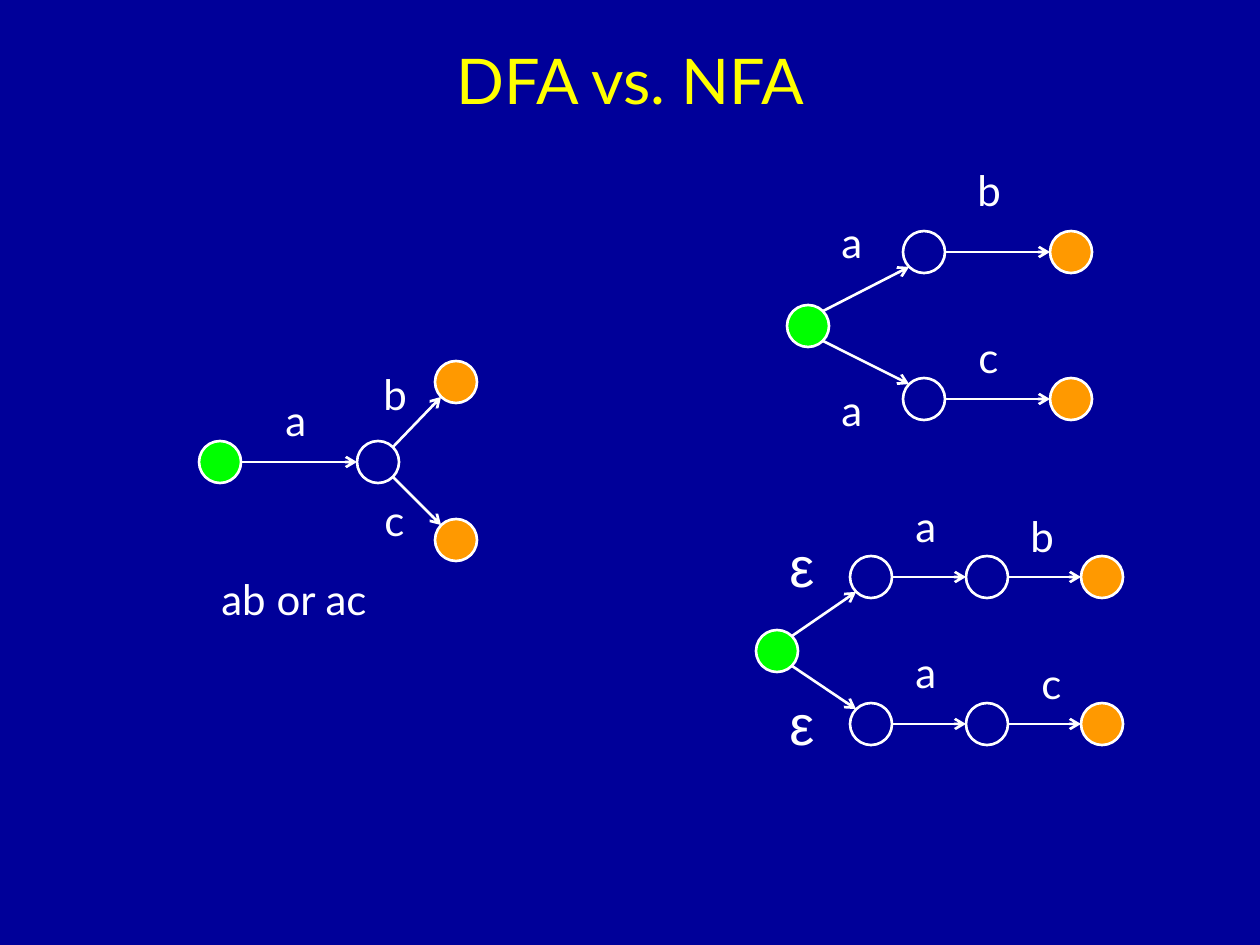
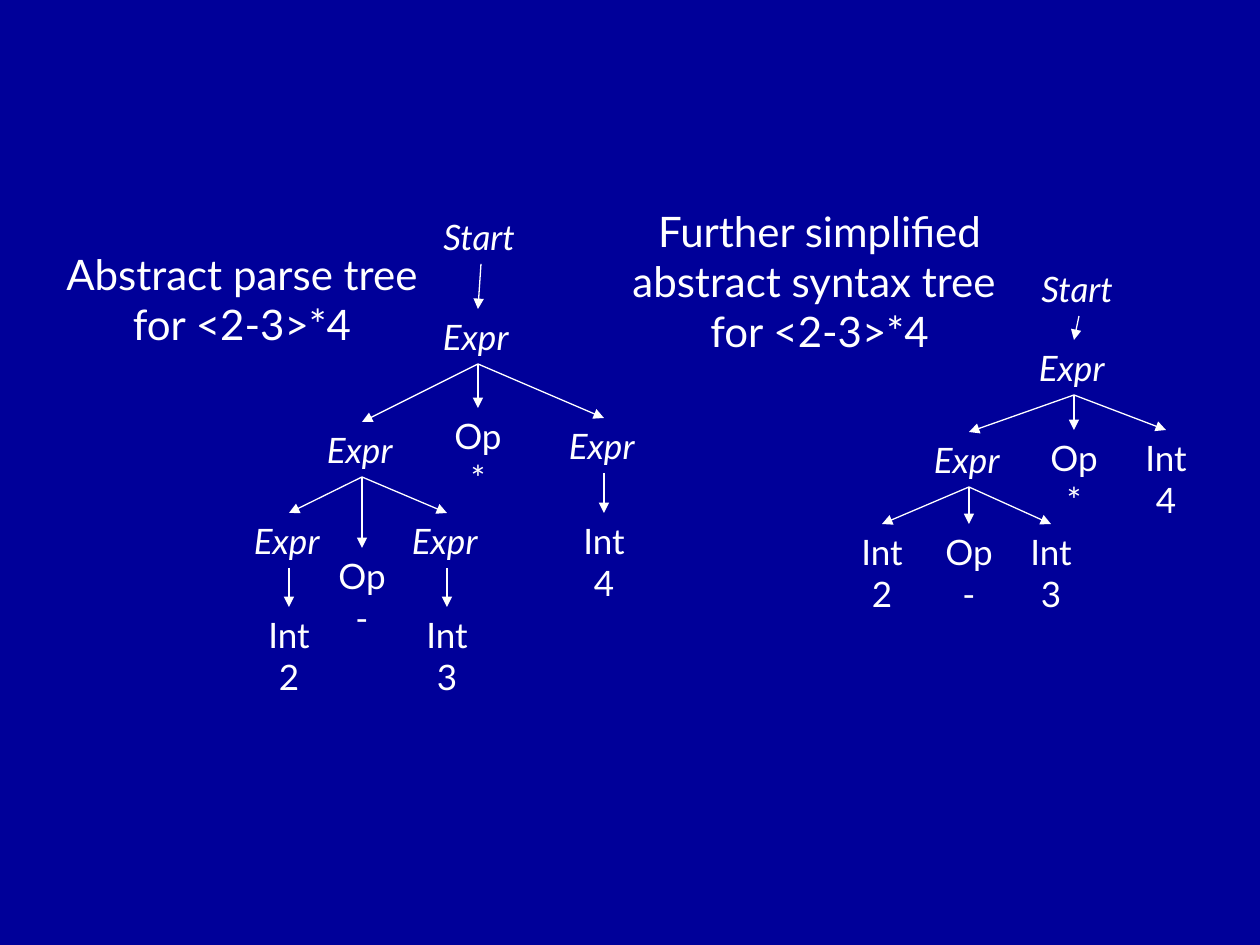
from lxml import etree
from pptx import Presentation
from pptx import util as u
from pptx.dml.color import RGBColor
from pptx.enum import shapes, text
from pptx.oxml import ns

# Shared look
PX = 914400 / 126
NAVY, YELLOW, WHITE, GREEN, ORANGE = "000099", "FFFF00", "FFFFFF", "00FF00", "FF9900"
BODY = dict(name="Lato", size=u.Pt(24), color=WHITE)
TITLE = BODY | dict(size=u.Pt(36), color=YELLOW)
EPSILON = BODY | dict(name="Arial", size=u.Pt(32))
TREE = BODY | dict(size=u.Pt(20))
LEFT, CENTER = text.PP_ALIGN.LEFT, text.PP_ALIGN.CENTER

# Automata: state centres by role, then transitions between them
STATE_SIZE = 42
STATE_FILLS = {"start": GREEN, "middle": None, "accept": ORANGE}
AUTOMATA = [
    {"start": [(220, 462)], "middle": [(378, 462)], "accept": [(456, 382), (456, 540)],
     "moves": [("start", 0, "middle", 0), ("middle", 0, "accept", 0), ("middle", 0, "accept", 1)]},
    {"start": [(808, 326)], "middle": [(924, 252), (924, 399)], "accept": [(1071, 252), (1071, 399)],
     "moves": [("start", 0, "middle", 0), ("start", 0, "middle", 1),
               ("middle", 0, "accept", 0), ("middle", 1, "accept", 1)]},
    {"start": [(777, 651)], "middle": [(871, 577), (871, 724), (987, 577), (987, 724)],
     "accept": [(1102, 577), (1102, 724)],
     "moves": [("start", 0, "middle", 0), ("start", 0, "middle", 1),
               ("middle", 0, "middle", 2), ("middle", 1, "middle", 3),
               ("middle", 2, "accept", 0), ("middle", 3, "accept", 1)]},
]
LABEL_SIZES = {"a": (48, 63), "b": (50, 63), "c": (45, 63), "ε": (49, 81), "ab or ac": (183, 63)}
LABELS = {
    "a": [(273, 388), (829, 210), (829, 378), (903, 494), (903, 640)],
    "b": [(371, 362), (965, 158), (1018, 504)],
    "c": [(372, 488), (966, 325), (1029, 651)],
    "ε": [(777, 525), (777, 683)],
    "ab or ac": [(209, 567)],
}

# Trees: (text, centre x, top, children)
PARSE_TREE = ("Start", 481, 209, [("Expr", 478, 309, [
    ("Expr", 362, 422, [
        ("Expr", 289, 513, [("Int\n2", 289, 607, [])]),
        ("Op\n-", 362, 548, []),
        ("Expr", 447, 513, [("Int\n3", 447, 607, [])]),
    ]),
    ("Op\n*", 478, 408, []),
    ("Expr", 604, 418, [("Int\n4", 604, 513, [])]),
])])
SYNTAX_TREE = ("Start", 1079, 261, [("Expr", 1074, 340, [
    ("Expr", 969, 432, [("Int\n2", 882, 524, []), ("Op\n-", 969, 524, []), ("Int\n3", 1051, 524, [])]),
    ("Op\n*", 1074, 430, []),
    ("Int\n4", 1166, 430, []),
])])
NODE_SIZES = {"Start": (100, 55), "Expr": (95, 55), "Op": (74, 97), "Int": (71, 97)}
CAPTIONS = [
    ("Abstract parse tree \nfor <2-3>*4", (53, 242, 378, 164)),
    ("Further simplified abstract syntax tree \nfor <2-3>*4", (620, 199, 399, 214)),
]


def px(*lengths):
    return [u.Emu(round(length * PX)) for length in lengths]


def color(value):
    return RGBColor.from_string(value)


def add_page(deck):
    page = deck.slides.add_slide(deck.slide_layouts[6])
    page.background.fill.solid()
    page.background.fill.fore_color.rgb = color(NAVY)
    return page


def add_text(page, words, area, style, align=LEFT, wrap=False, anchor=text.MSO_ANCHOR.TOP):
    frame = page.shapes.add_textbox(*px(*area)).text_frame
    frame.word_wrap, frame.vertical_anchor = wrap, anchor
    for index, line in enumerate(words.split("\n")):
        para = frame.paragraphs[0] if index == 0 else frame.add_paragraph()
        para.alignment = align
        span = para.add_run()
        span.text = line
        for key, value in style.items():
            if key == "color":
                span.font.color.rgb = color(value)
            else:
                setattr(span.font, key, value)


def add_arrow(page, begin, end, weight, head):
    arrow = page.shapes.add_connector(shapes.MSO_CONNECTOR.STRAIGHT, *px(*begin, *end))
    arrow.line.color.rgb = color(WHITE)
    arrow.line.width = u.Pt(weight)
    properties = arrow._element.spPr
    etree.SubElement(properties.find(ns.qn("a:ln")), ns.qn("a:tailEnd"), type=head)
    etree.SubElement(properties, ns.qn("a:effectLst"))


def add_state(page, center, fill):
    corner = [value - STATE_SIZE / 2 for value in center]
    state = page.shapes.add_shape(shapes.MSO_SHAPE.OVAL, *px(*corner, STATE_SIZE, STATE_SIZE))
    state.shadow.inherit = False
    state.line.color.rgb = color(WHITE)
    state.line.width = u.Pt(1.5)
    if fill:
        state.fill.solid()
        state.fill.fore_color.rgb = color(fill)
    else:
        state.fill.background()


def add_move(page, source, target):
    """Level arrows meet the circles' sides, slanted ones their 45-degree points."""
    rise = target[1] - source[1]
    dx, dy = STATE_SIZE / 2, 0
    if rise:
        dx *= 0.71
        dy = dx if rise > 0 else -dx
    add_arrow(page, (source[0] + dx, source[1] + dy), (target[0] - dx, target[1] - dy), 1.5, "arrow")


def add_tree(page, node):
    """Draw a node and its subtree; return the node's top centre."""
    words, center, top, children = node
    width, height = NODE_SIZES[words.split("\n")[0]]
    inner = words in ("Start", "Expr")
    add_text(page, words, (center - width / 2, top, width, height),
             TREE | dict(italic=inner), LEFT if inner else CENTER)
    for child in children:
        add_arrow(page, (center, top + height), add_tree(page, child), 0.75, "triangle")
    return center, top


def build_automata(deck):
    page = add_page(deck)
    add_text(page, "DFA vs. NFA", (95, 21, 1071, 116), TITLE, CENTER, True, text.MSO_ANCHOR.MIDDLE)
    for automaton in AUTOMATA:
        for role, fill in STATE_FILLS.items():
            for center in automaton[role]:
                add_state(page, center, fill)
        for role, index, next_role, next_index in automaton["moves"]:
            add_move(page, automaton[role][index], automaton[next_role][next_index])
    for label, corners in LABELS.items():
        for corner in corners:
            add_text(page, label, corner + LABEL_SIZES[label], EPSILON if label == "ε" else BODY)


def build_trees(deck):
    page = add_page(deck)
    for tree in (SYNTAX_TREE, PARSE_TREE):
        add_tree(page, tree)
    for words, area in CAPTIONS:
        add_text(page, words, area, BODY, CENTER, True)


def main():
    deck = Presentation()
    deck.slide_width, deck.slide_height = px(1260, 945)
    build_automata(deck)
    build_trees(deck)
    deck.save("out.pptx")


if __name__ == "__main__":
    main()
